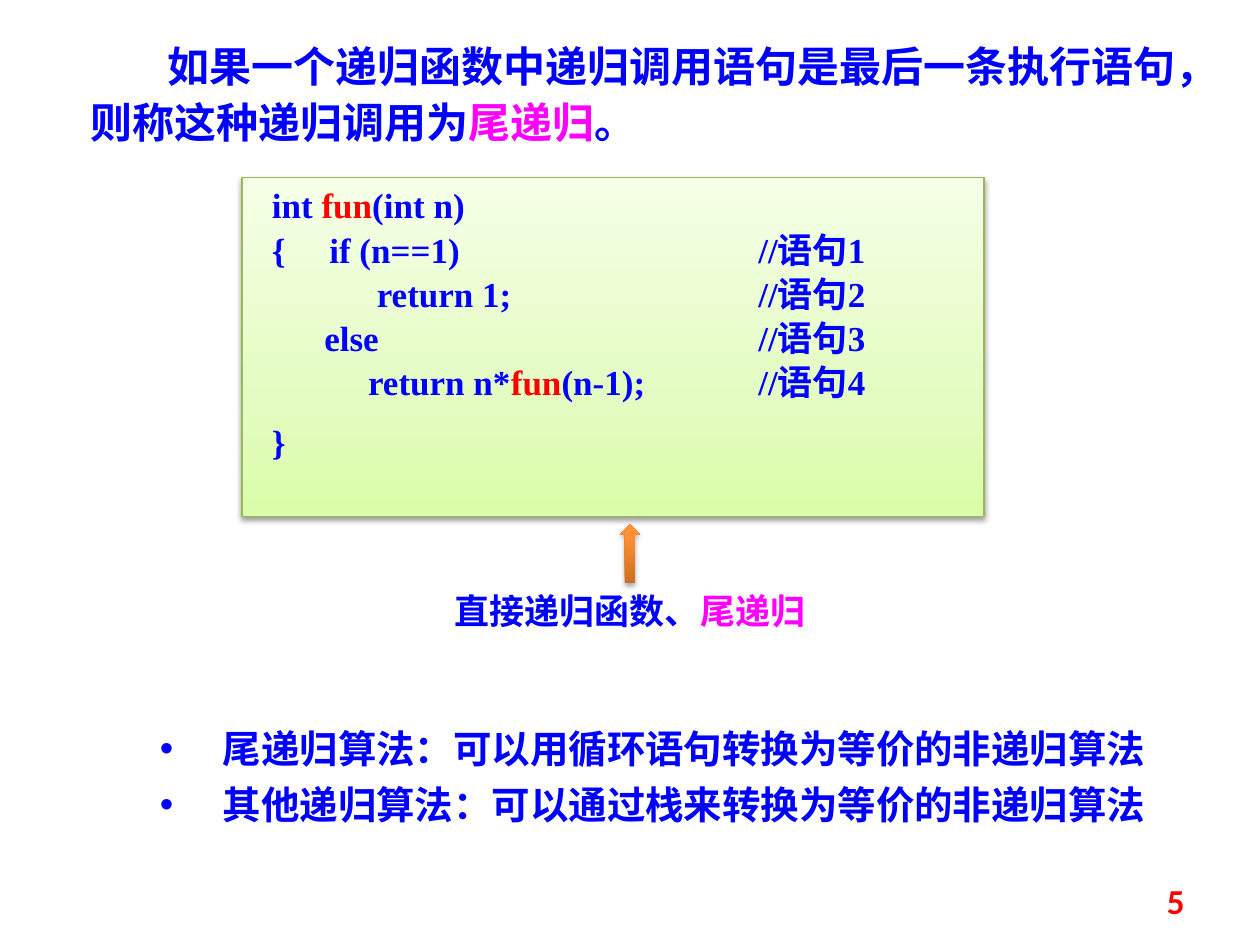
from pptx import Presentation
from pptx.dml.color import RGBColor
from pptx.enum.shapes import MSO_SHAPE as Preset
from pptx.enum.text import MSO_ANCHOR as Anchor, PP_ALIGN as Align
from pptx.oxml import parse_xml
from pptx.oxml.ns import nsdecls
from pptx.util import Inches, Pt

BLUE, RED, PINK = "0000FF", "FF0000", "FF00FF"
SERIF, SANS, DIGIT = "Times New Roman", "Noto Sans CJK SC", "Calibri"
COMMENT_TAB = 4

INTRO = [[("如果一个递归函数中递归调用语句是最后一条执行语句，则称这种递归调用为", BLUE),
          ("尾递归", PINK), ("。", BLUE)]]
CODE = [
    [("  int ", BLUE), ("fun", RED), ("(int n)", BLUE)],
    [("  {     if (n==1)\t//语句1", BLUE)],
    [("              return 1;\t//语句2", BLUE)],
    [("        else\t//语句3", BLUE)],
    [("             return n*", BLUE), ("fun", RED), ("(n-1);\t//语句4", BLUE)],
    [("  }", BLUE)],
]
CAPTION = [[("直接递归函数、", BLUE), ("尾递归", PINK)]]
CONVERSIONS = [
    [("尾递归算法：可以用循环语句转换为等价的非递归算法", BLUE)],
    [("其他递归算法：可以通过栈来转换为等价的非递归算法", BLUE)],
]
PAGE_NUMBER = [[("5", RED)]]

CODE_FILL = [(0, "DAFDA7"), (35, "E4FCC2"), (100, "F5FFE7")]
ARROW_FILL = [(0, "CC6E20"), (80, "FF9034"), (100, "FF9136")]


def colour(value):
    return RGBColor.from_string(value)


def element(tag, content="", **attributes):
    listed = "".join(f' {name}="{value}"' for name, value in attributes.items())
    return f"<a:{tag}{listed}>{content}</a:{tag}>"


def add_xml(parent, markup, index=None):
    tag, rest = markup[3:].split(">", 1)[0].split(" ")[0], markup[3:]
    node = parse_xml(f"<a:{tag} {nsdecls('a')}{rest[len(tag):]}")
    parent.insert(len(parent) if index is None else index, node)


def write(box, lines, size, font, formats=None, bullet=False, indent=0, tab=None):
    frame = box.text_frame
    frame.word_wrap = True
    for number, line in enumerate(lines):
        para = frame.paragraphs[0] if number == 0 else frame.add_paragraph()
        for name, value in (formats or {}).items():
            setattr(para, name, value)
        props = para._p.get_or_add_pPr()
        if indent:
            props.set("indent", str(Inches(indent)))
        if bullet:
            props.set("marL", str(Inches(-indent)))
            add_xml(props, element("buFont", typeface="Arial"))
            add_xml(props, element("buChar", char="•"))
        if tab:
            add_xml(props, element("tabLst", element("tab", pos=Inches(tab), algn="l")))
        for text, tint in line:
            span = para.add_run()
            span.text = text
            for name, value in {"size": Pt(size), "name": font, "bold": True}.items():
                setattr(span.font, name, value)
            span.font.color.rgb = colour(tint)
            add_xml(span._r.get_or_add_rPr(), element("ea", typeface=SANS))
    return frame


def add_text(page, place, *content, **options):
    box = page.shapes.add_textbox(*map(Inches, place))
    return write(box, *content, **options)


def add_gradient_shape(page, preset, place, stops, shadow):
    shape = page.shapes.add_shape(preset, *map(Inches, place))
    opacity, blur, distance = shadow
    shape.shadow.inherit = False
    marks = "".join(element("gs", element("srgbClr", val=tint), pos=share * 1000)
                    for share, tint in stops)
    gradient = element("gradFill", element("gsLst", marks)
                       + element("lin", ang=270 * 60000, scaled=0), rotWithShape=1)
    shape.line.fill.background()
    add_xml(shape._element.spPr, gradient, 2)
    shade = element("srgbClr", element("alpha", val=opacity * 1000), val="000000")
    effects = shape._element.spPr[-1]
    add_xml(effects, element("outerShdw", shade, blurRad=Pt(blur), dist=Pt(distance),
                             dir=90 * 60000, rotWithShape=0))
    return shape


def main():
    deck = Presentation()
    deck.slide_width, deck.slide_height = Inches(10), Inches(7.5)
    page = deck.slides.add_slide(deck.slide_layouts[6])

    add_text(page, (0.62, 0.23, 8.91, 1), INTRO, 24, SERIF,
             {"line_spacing": Pt(32)}, indent=0.61)

    panel = add_gradient_shape(page, Preset.RECTANGLE, (1.92, 1.41, 5.89, 2.69),
                               CODE_FILL, (38, 3.1, 1.6))
    panel.line.color.rgb = colour("98B955")
    panel.line.width = Pt(0.75)
    listing = write(panel, CODE, 20, SERIF,
                    {"alignment": Align.JUSTIFY, "line_spacing": 0.8, "space_before": Pt(6)},
                    tab=COMMENT_TAB)
    listing.vertical_anchor = Anchor.TOP
    first, last = listing.paragraphs[0], listing.paragraphs[-1]
    first.line_spacing, first.space_before = 1.0, Pt(0)
    last.space_before = Pt(15)

    add_text(page, (3.36, 4.63, 3.28, 0.44), CAPTION, 20, SERIF,
             {"alignment": Align.CENTER})
    add_gradient_shape(page, Preset.UP_ARROW, (4.92, 4.16, 0.16, 0.47),
                       ARROW_FILL, (35, 3.1, 1.8))
    add_text(page, (1.17, 5.63, 8.13, 0.96), CONVERSIONS, 22, SANS,
             {"line_spacing": Pt(32)}, bullet=True, indent=-0.5)
    number = add_text(page, (7.17, 6.95, 2.33, 0.4), PAGE_NUMBER, 20, DIGIT,
                      {"alignment": Align.RIGHT})
    number.vertical_anchor = Anchor.MIDDLE

    deck.save("out.pptx")


if __name__ == "__main__":
    main()
